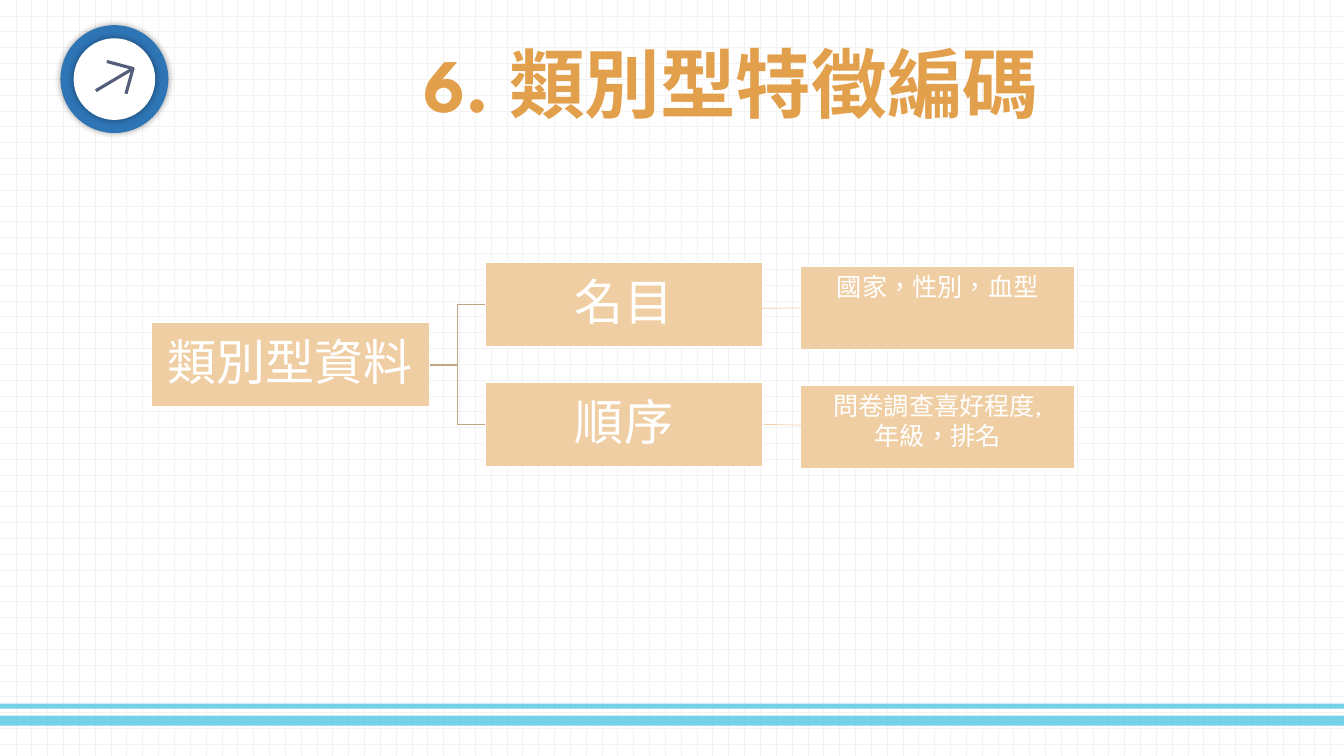
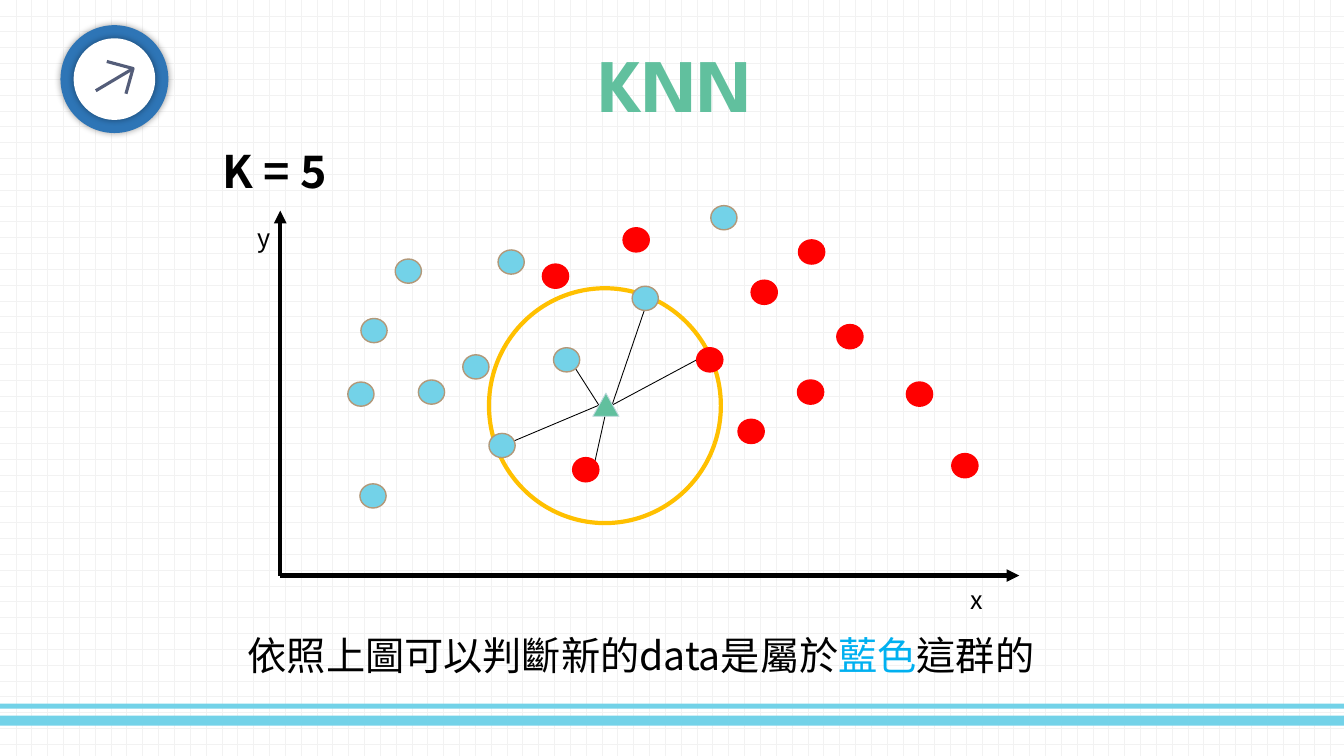
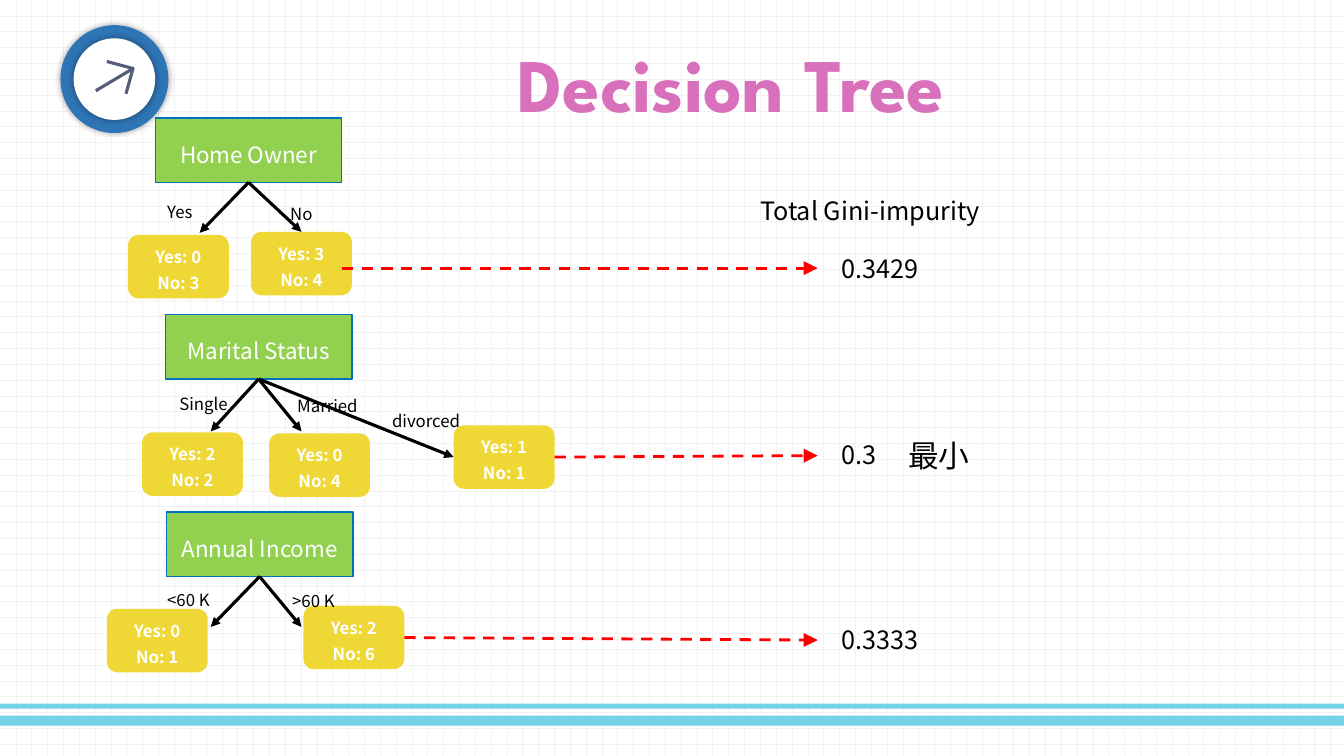
from pptx import Presentation
from pptx.dml.color import RGBColor
from pptx.enum.dml import MSO_LINE, MSO_PATTERN
from pptx.enum.shapes import MSO_CONNECTOR, MSO_SHAPE
from pptx.enum.text import MSO_ANCHOR, MSO_AUTO_SIZE, PP_ALIGN
from pptx.oxml.ns import qn
from pptx.util import Inches, Pt
from lxml import etree

RECT, ROUND = MSO_SHAPE.RECTANGLE, MSO_SHAPE.ROUNDED_RECTANGLE
OVAL, TRIANGLE = MSO_SHAPE.OVAL, MSO_SHAPE.ISOSCELES_TRIANGLE
STRAIGHT, ELBOW = MSO_CONNECTOR.STRAIGHT, MSO_CONNECTOR.ELBOW
LEFT, CENTER = PP_ALIGN.LEFT, PP_ALIGN.CENTER
TOP, MIDDLE = MSO_ANCHOR.TOP, MSO_ANCHOR.MIDDLE
TOP_SITE, LEFT_SITE, BOTTOM_SITE, RIGHT_SITE = range(4)

SLIDE_W, SLIDE_H = 13.33, 7.5
SPARTAN, NOTO = "League Spartan", "Noto Sans CJK SC"
COLORS = {
    "white": "FFFFFF", "black": "000000", "grid": "F2F2F2", "band": "73D2E8",
    "orange": "E2A04C", "peach": "F0CEA3", "elbow": "C0A583",
    "teal": "61C09E", "pale": "C1D9DF", "sky": "73D2E8", "tan": "B29879",
    "red": "FF0000", "gold": "FFC000", "blue": "00B0F0",
    "pink": "D870BB", "green": "92D050", "edge": "0070C0", "yellow": "EFD836",
    "ring": "2E75B6", "hand": "545D79",
}

# ---- Content: categories (left, top of each box) ----
CATEGORY_SIZE, EXAMPLE_SIZE = (2.76, 0.84), (2.72, 0.83)
ROOT_CATEGORY = ("類別型資料", 1.5, 3.2)
CATEGORIES = [
    {"name": "名目", "top": 2.6, "examples": ["國家，性別，血型"],
     "examples_top": 2.64, "link": ((7.94, 3.06), (7.5, 3.06))},
    {"name": "順序", "top": 3.79, "examples": ["問卷調查喜好程度,", "年級，排名"],
     "examples_top": 3.82, "link": ((8.01, 4.22), (7.57, 4.22))},
]

# ---- Content: nearest neighbours (left, top of each dot) ----
DOT_SIZE = (0.26, 0.24)
BLUE_DOTS = [(4.94, 2.48), (3.45, 3.79), (4.15, 3.77), (3.92, 2.57), (5.49, 3.45),
             (4.59, 3.52), (3.58, 3.16), (3.57, 4.8), (4.85, 4.3), (6.27, 2.84),
             (7.05, 2.04)]
RED_DOTS = [(7.32, 4.16), (7.45, 2.78), (8.3, 3.22), (8.99, 3.79), (7.91, 3.77),
            (9.44, 4.5), (6.18, 2.26), (7.92, 2.38), (6.91, 3.45), (5.38, 2.62),
            (5.68, 4.54)]
NEIGHBOUR_LINES = [((4.99, 4.42), (5.94, 4.02)), ((5.71, 3.66), (5.94, 4.02)),
                   ((6.39, 3.08), (6.07, 4.02)), ((6.91, 3.57), (6.07, 4.02)),
                   ((5.9, 4.58), (6, 4.13))]
ORIGIN, Y_TIP, X_TIP = (2.78, 5.71), (2.78, 2.09), (10.11, 5.71)
CONCLUSION = [("依照上圖可以判斷新的data是屬於", "black"), ("藍色", "blue"),
              ("這群的", "black")]

# ---- Content: decision trees ----
# branch: label, label place, arrow tip, side joined, leaf place, yes count, no count
NODE_SIZE, LEAF_SIZE, LABEL_SIZE = (1.85, 0.64), (1, 0.63), (1.1, 0.34)
TREES = [
    {"name": "Home Owner", "at": (1.54, 1.17), "gini": "0.3429", "gini_top": 2.46,
     "from": (3.39, 2.66), "to": (8.11, 2.66), "joined": False,
     "branches": [("Yes", (1.56, 1.89), (1.98, 2.31), None, (1.27, 2.33), 0, 3),
                  ("No", (2.78, 1.91), (3, 2.3), TOP_SITE, (2.49, 2.3), 3, 4)]},
    {"name": "Marital Status", "at": (1.64, 3.12), "gini": "0.3", "gini_top": 4.31,
     "from": (5.5, 4.52), "to": (8.11, 4.52), "joined": True,
     "branches": [("Single", (1.68, 3.8), (2.09, 4.28), None, (1.41, 4.29), 2, 2),
                  ("Married", (2.85, 3.82), (2.99, 4.28), None, (2.67, 4.3), 0, 4),
                  ("divorced", (3.79, 3.97), (4.51, 4.52), LEFT_SITE, (4.5, 4.22), 1, 1)]},
    {"name": "Annual Income", "at": (1.65, 5.08), "gini": "0.3333", "gini_top": 6.14,
     "from": (4.02, 6.33), "to": (8.11, 6.35), "joined": True,
     "branches": [("<60 K", (1.56, 5.74), (2.09, 6.22), None, (1.06, 6.04), 0, 1),
                  (">60 K", (2.8, 5.75), (2.99, 6.22), None, (3.01, 6.01), 2, 6)]},
]


# ---- Drawing helpers ----
def rgb(name):
    return RGBColor.from_string(COLORS[name])


def style_run(run, size, color, font, bold):
    run.font.size, run.font.bold, run.font.name = Pt(size), bold, font
    run.font.color.rgb = rgb(color)
    properties = run.font._element
    properties.set("lang", "zh-TW")
    etree.SubElement(properties, qn("a:ea")).set("typeface", NOTO)


def write(frame, lines, size, color="black", font=NOTO, bold=False, align=LEFT,
          spacing=None, anchor=TOP, inset=None):
    frame.text = "\n".join(lines)
    frame.word_wrap, frame.vertical_anchor = True, anchor
    if inset is not None:
        frame.margin_left = frame.margin_right = Inches(inset)
        frame.margin_top = frame.margin_bottom = Inches(inset)
    for paragraph in frame.paragraphs:
        paragraph.alignment, paragraph.line_spacing = align, spacing
        for run in paragraph.runs:
            style_run(run, size, color, font, bold)


def add_box(shapes, kind, at, size, fill=None, edge=None, width=1):
    box = shapes.add_shape(kind, *map(Inches, (*at, *size)))
    box.shadow.inherit = False
    if fill:
        box.fill.solid()
        box.fill.fore_color.rgb = rgb(fill)
    else:
        box.fill.background()
    if edge:
        box.line.color.rgb, box.line.width = rgb(edge), Pt(width)
    else:
        box.line.fill.background()
    return box


def add_label(slide, text, at, size, points, **style):
    label = slide.shapes.add_textbox(*map(Inches, (*at, *size)))
    write(label.text_frame, [text], points, **style)
    label.text_frame.auto_size = MSO_AUTO_SIZE.SHAPE_TO_FIT_TEXT
    return label


def add_line(shapes, start, end, color, width, kind=STRAIGHT, arrow=None, dash=None):
    line = shapes.add_connector(kind, *map(Inches, (*start, *end)))
    line.line.color.rgb, line.line.width = rgb(color), Pt(width)
    if dash:
        line.line.dash_style = dash
    properties = line.element.spPr
    if arrow:
        etree.SubElement(properties.find(qn("a:ln")), qn("a:tailEnd"),
                         type="triangle", w=arrow, len=arrow)
    etree.SubElement(properties, qn("a:effectLst"))
    return line


# ---- Shared parts ----
def add_clock(slide):
    clock = slide.shapes.add_group_shape().shapes
    for inset, color in ((0, "ring"), (0.13, "white")):
        side = 1.07 - 2 * inset
        disc = add_box(clock, OVAL, (0.6 + inset, 0.25 + inset), (side, side), color)
        effects = disc.element.spPr.find(qn("a:effectLst"))
        shadow = etree.SubElement(effects, qn("a:outerShdw"), blurRad=str(Pt(5)),
                                  dist="0", dir="0", algn="ctr", rotWithShape="0")
        shade = etree.SubElement(shadow, qn("a:srgbClr"), val=COLORS["black"])
        etree.SubElement(shade, qn("a:alpha"), val="40000")
    barbs = [(Inches(x), Inches(y)) for x, y in ((1.06, 0.61), (1.32, 0.68), (1.25, 0.93))]
    builder = clock.build_freeform(*barbs[0])
    builder.add_line_segments(barbs[1:], close=False)
    tip = builder.convert_to_shape()
    tip.shadow.inherit = False
    tip.fill.background()
    tip.line.color.rgb, tip.line.width = rgb("hand"), Pt(2.25)
    add_line(clock, (0.95, 0.9), (1.32, 0.68), "hand", 2.25)


def new_slide(prs, title, color, left=1.5):
    slide = prs.slides.add_slide(prs.slide_layouts[5])
    heading = slide.shapes.title
    heading.left, heading.top = Inches(left), Inches(0.46)
    heading.width, heading.height = Inches(11.5), Inches(0.71)
    write(heading.text_frame, [title], 54, color, SPARTAN, True, CENTER, anchor=MIDDLE)
    heading.text_frame.auto_size = MSO_AUTO_SIZE.NONE
    add_clock(slide)
    return slide


def style_master(prs, slide):
    master = prs.slide_master
    paper = master.background.fill
    paper.patterned()
    paper.pattern = MSO_PATTERN.DOTTED_GRID
    paper.fore_color.rgb, paper.back_color.rgb = rgb("grid"), rgb("white")
    # Bands are built on a slide, then moved to the master
    for number, (top, height) in enumerate(((7.1, 0.1), (6.98, 0.05)), 101):
        band = add_box(slide.shapes, RECT, (0, top), (SLIDE_W, height), "band")
        band.element.nvSpPr.cNvPr.set("id", str(number))
        master.element.cSld.spTree.append(band.element)


# ---- Slides ----
def category_slide(prs):
    slide = new_slide(prs, "6. 類別型特徵編碼", "orange")

    def add_category(name, left, top):
        box = add_box(slide.shapes, RECT, (left, top), CATEGORY_SIZE, "peach", "white")
        write(box.text_frame, [name], 35, "white", SPARTAN, align=CENTER, spacing=0.9,
              anchor=MIDDLE, inset=0.02)
        return box

    root = add_category(*ROOT_CATEGORY)
    for category in CATEGORIES:
        box = add_category(category["name"], 4.81, category["top"])
        elbow = add_line(slide.shapes, (4.26, 3.62), (4.81, category["top"] + 0.42),
                         "elbow", 1, ELBOW)
        elbow.begin_connect(root, RIGHT_SITE)
        elbow.end_connect(box, LEFT_SITE)
        examples = add_box(slide.shapes, RECT, (7.94, category["examples_top"]),
                           EXAMPLE_SIZE, "peach", "white")
        write(examples.text_frame, category["examples"], 18, "white", SPARTAN, align=CENTER)
        start, end = category["link"]
        link = add_line(slide.shapes, start, end, "peach", 0.5)
        if start[0] == 7.94:
            link.begin_connect(examples, LEFT_SITE)
        else:
            link.end_connect(box, RIGHT_SITE)
    return slide


def neighbour_slide(prs):
    slide = new_slide(prs, "KNN", "teal", left=0.95)
    shapes = slide.shapes
    add_label(slide, "K = 5", (2.11, 1.11), (2.07, 0.91), 32, bold=True, spacing=1.5)

    # Axes
    for name, tip, at in (("y", Y_TIP, (2.46, 2.16)), ("x", X_TIP, (9.53, 5.75))):
        add_line(shapes, ORIGIN, tip, "black", 3, arrow="med")
        add_label(slide, name, at, (0.33, 0.4), 18)

    # Neighbourhood, points and the new item
    add_box(shapes, OVAL, (4.85, 2.86), (2.3, 2.33), edge="gold", width=3)
    for start, end in NEIGHBOUR_LINES:
        add_line(shapes, start, end, "black", 0.63)
    for dots, fill, edge in ((BLUE_DOTS, "sky", "tan"), (RED_DOTS, "red", "red")):
        for at in dots:
            add_box(shapes, OVAL, at, DOT_SIZE, fill, edge)
    add_box(shapes, TRIANGLE, (5.88, 3.9), (0.26, 0.23), "teal", "pale", 0.63)

    # Conclusion
    conclusion = add_label(slide, "", (2.36, 6.21), (8.67, 0.57), 28)
    for text, color in CONCLUSION:
        run = conclusion.text_frame.paragraphs[0].add_run()
        run.text = text
        style_run(run, 28, color, NOTO, False)


def tree_slide(prs):
    slide = new_slide(prs, "Decision Tree", "pink")
    shapes = slide.shapes
    add_label(slide, "Total Gini-impurity", (7.44, 1.89), (2.61, 0.4), 18)
    for tree in TREES:
        node = add_box(shapes, RECT, tree["at"], NODE_SIZE, "green", "edge")
        write(node.text_frame, [tree["name"]], 16, "white", align=CENTER, spacing=1.3,
              anchor=MIDDLE)
        node_bottom = (tree["at"][0] + NODE_SIZE[0] / 2, tree["at"][1] + NODE_SIZE[1])
        for label, label_at, tip, site, leaf_at, yes, no in tree["branches"]:
            leaf = add_box(shapes, ROUND, leaf_at, LEAF_SIZE, "yellow")
            write(leaf.text_frame, [f"Yes: {yes}", f"No: {no}"], 12, "white", bold=True,
                  align=CENTER, spacing=1.3, anchor=MIDDLE)
            branch = add_line(shapes, node_bottom, tip, "black", 2.25, arrow="med")
            branch.begin_connect(node, BOTTOM_SITE)
            if site is not None:
                branch.end_connect(leaf, site)
            add_label(slide, label, label_at, LABEL_SIZE, 12, spacing=1.3)
        # The last leaf of each tree points to its impurity
        result = add_line(shapes, tree["from"], tree["to"], "red", 2, arrow="lg",
                          dash=MSO_LINE.DASH)
        if tree["joined"]:
            result.begin_connect(leaf, RIGHT_SITE)
        add_label(slide, tree["gini"], (8.25, tree["gini_top"]), (1, 0.4), 18)
    add_label(slide, "最小", (8.91, 4.17), (0.96, 0.54), 22, spacing=1.3)


def main():
    prs = Presentation()
    prs.slide_width, prs.slide_height = Inches(SLIDE_W), Inches(SLIDE_H)
    style_master(prs, category_slide(prs))
    neighbour_slide(prs)
    tree_slide(prs)
    prs.save("out.pptx")


if __name__ == "__main__":
    main()
